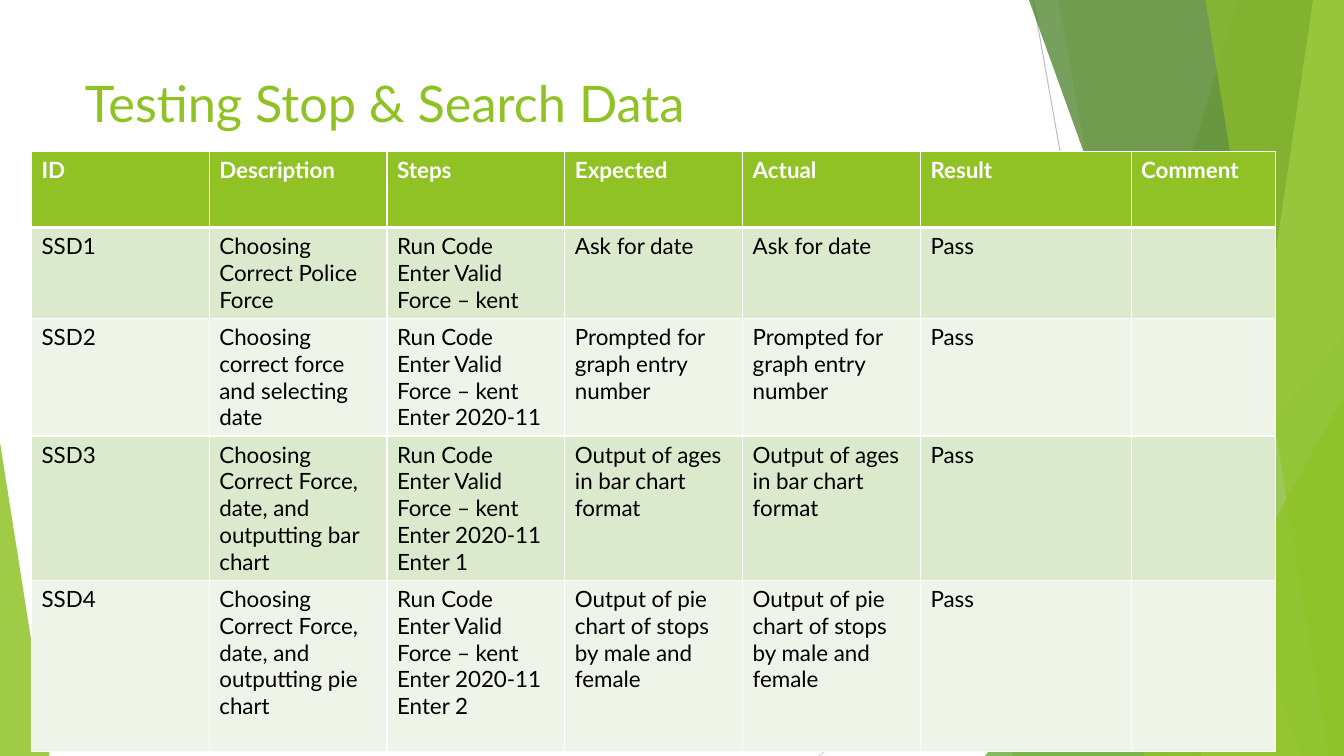
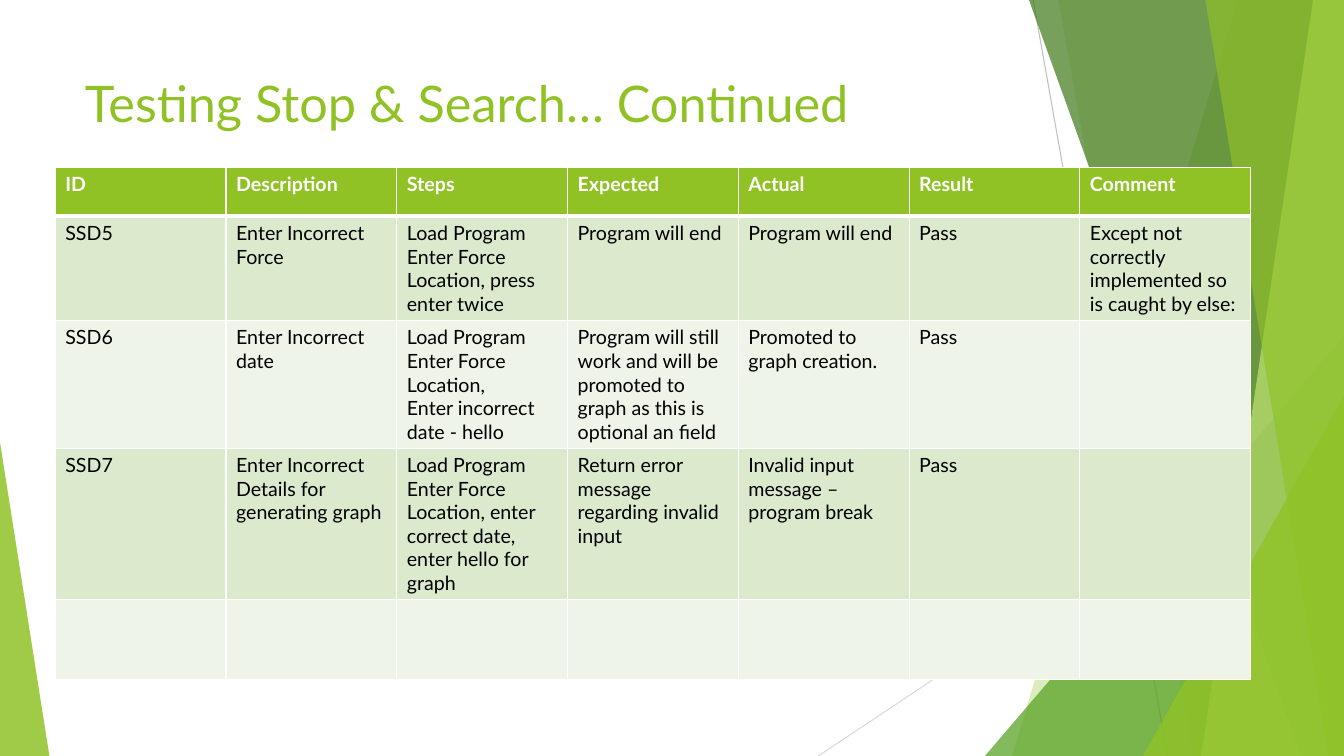
from lxml import etree
from pptx import Presentation
from pptx.dml.color import RGBColor
from pptx.enum.shapes import MSO_CONNECTOR, MSO_SHAPE
from pptx.oxml.ns import qn
from pptx.util import Pt

LINE = MSO_CONNECTOR.STRAIGHT
TRI = MSO_SHAPE.ISOSCELES_TRIANGLE

WIDE, HIGH = 960, 540
FONT = "Lato"
HEX = {
    "lime": "90C226",
    "green": "54A021",
    "dark": "3F7819",
    "pale": "C0E474",
    "odd": "DBE9CD",
    "even": "EEF4E8",
    "white": "FFFFFF",
    "black": "000000",
    "gray": "BFBFBF",
    "mist": "D9D9D9",
}

# Start x, start y, end x, end y, colour
RULES = [
    (738, 0, 834, HIGH, "gray"),
    (WIDE, 290, 584.5, HIGH, "mist"),
]
# Facets run to the right edge: top x, bottom x, colour, opacity
BACK = [(884, 723, "lime", 30), (756, 852, "lime", 20)]
FRONT = [
    (735, 929.5, "dark", 70),
    (938, 858, "pale", 70),
    (861, 949, "lime", 65),
]
# Wedges stand on the bottom edge: left, top, width, apex, colour, opacity
MID = (703.5, 240, 256.5, 1, "green", 72)
RIGHT = (816.5, 283, 143.5, 1, "lime", 80)
LEFT = (0, 316, 35.3, 0, "lime", 85)

HEAD = ["ID", "Description", "Steps", "Expected", "Actual", "Result", "Comment"]
KENT = "Run Code\nEnter Valid Force – kent"
DATED = KENT + "\nEnter 2020-11"
LOAD = "Load Program\nEnter Force Location,"
PROMPT = "Prompted for graph entry number"
AGES = "Output of ages in bar chart format"
STOPS = "Output of pie chart of stops by male and female"

VALID = [
    HEAD,
    ["SSD1", "Choosing Correct Police Force", KENT,
     "Ask for date", "Ask for date", "Pass", ""],
    ["SSD2", "Choosing correct force and selecting date", DATED,
     PROMPT, PROMPT, "Pass", ""],
    ["SSD3", "Choosing Correct Force, date, and outputting bar chart",
     DATED + "\nEnter 1", AGES, AGES, "Pass", ""],
    ["SSD4", "Choosing Correct Force, date, and outputting pie chart",
     DATED + "\nEnter 2", STOPS, STOPS, "Pass", ""],
]
WRONG = [
    HEAD,
    ["SSD5", "Enter Incorrect Force", LOAD + " press enter twice",
     "Program will end", "Program will end", "Pass",
     "Except not correctly implemented so is caught by else:"],
    ["SSD6", "Enter Incorrect date", LOAD + "\nEnter incorrect date - hello",
     "Program will still work and will be promoted to graph as this is "
     "optional an field",
     "Promoted to graph creation.", "Pass", ""],
    ["SSD7", "Enter Incorrect Details for generating graph",
     LOAD + " enter correct date, enter hello for graph",
     "Return error message regarding invalid input",
     "Invalid input message – program break", "Pass", ""],
    [""] * len(HEAD),
]


def rgb(name):
    return RGBColor.from_string(HEX[name])


def tint(shape, name, alpha):
    """Fill a shape with a see-through colour, without line or shadow."""
    shape.shadow.inherit = False
    shape.line.fill.background()
    shape.fill.solid()
    shape.fill.fore_color.rgb = rgb(name)
    color = shape.fill._xPr.find(".//" + qn("a:srgbClr"))
    etree.SubElement(color, qn("a:alpha"), val=str(alpha * 1000))


def rule(slide, x1, y1, x2, y2, name):
    line = slide.shapes.add_connector(LINE, Pt(x1), Pt(y1), Pt(x2), Pt(y2))
    line.line.color.rgb = rgb(name)
    line.line.width = Pt(0.75)
    etree.SubElement(line._element.spPr, qn("a:effectLst"))


def facet(slide, top, base, name, alpha):
    pen = slide.shapes.build_freeform(Pt(top), 0)
    pen.add_line_segments(
        [(Pt(WIDE), 0), (Pt(WIDE), Pt(HIGH)), (Pt(base), Pt(HIGH))])
    tint(pen.convert_to_shape(), name, alpha)


def wedge(slide, left, top, width, apex, name, alpha):
    shape = slide.shapes.add_shape(
        TRI, Pt(left), Pt(top), Pt(width), Pt(HIGH - top))
    shape.adjustments[0] = apex
    tint(shape, name, alpha)


def decor(slide):
    for item in RULES:
        rule(slide, *item)
    for item in BACK:
        facet(slide, *item)
    wedge(slide, *MID)
    for item in FRONT:
        facet(slide, *item)
    for item in (RIGHT, LEFT):
        wedge(slide, *item)


def style(para, size, name, bold=False):
    font = para.font
    font.name, font.size, font.bold = FONT, Pt(size), bold
    font.color.rgb = rgb(name)


def title(slide, text, left=53.5, top=48, width=677, height=104):
    frame = slide.shapes.add_textbox(
        Pt(left), Pt(top), Pt(width), Pt(height)).text_frame
    frame.word_wrap = True
    frame.text = text
    style(frame.paragraphs[0], 36, "lime")


def border(cell, row):
    """Draw white cell edges, thick between the header and the body."""
    edges = {"L": 1, "R": 1, "T": 3 if row == 1 else 1, "B": 1 if row else 3}
    props = cell._tc.get_or_add_tcPr()
    for side, width in edges.items():
        line = etree.SubElement(props, qn("a:ln" + side), w=str(Pt(width)))
        fill = etree.SubElement(line, qn("a:solidFill"))
        etree.SubElement(fill, qn("a:srgbClr"), val=HEX["white"])


def grid(slide, left, top, cols, rows, size, data):
    table = slide.shapes.add_table(
        len(rows), len(cols), Pt(left), Pt(top),
        Pt(sum(cols)), Pt(sum(rows))).table
    for col, width in zip(table.columns, cols):
        col.width = Pt(width)
    for r, (texts, height) in enumerate(zip(data, rows)):
        table.rows[r].height = Pt(height)
        back = ("odd" if r % 2 else "even") if r else "lime"
        ink = "black" if r else "white"
        for c, text in enumerate(texts):
            cell = table.cell(r, c)
            border(cell, r)
            cell.fill.solid()
            cell.fill.fore_color.rgb = rgb(back)
            cell.text = text
            for para in cell.text_frame.paragraphs:
                style(para, size, ink, r == 0)


def page(deck, head, *spec_grid):
    slide = deck.slides.add_slide(deck.slide_layouts[6])
    decor(slide)
    title(slide, head)
    grid(slide, *spec_grid)


def main():
    deck = Presentation()
    deck.slide_width, deck.slide_height = Pt(WIDE), Pt(HIGH)
    page(deck, "Testing Stop & Search Data", 22.5, 108,
         [127] * 5 + [150.5, 103], [54.5, 65, 83.5, 103, 122], 16, VALID)
    page(deck, "Testing Stop & Search… Continued", 39.5, 119.5,
         [122] * 7, [35, 74.5, 91, 108, 57], 14, WRONG)
    deck.save("out.pptx")


if __name__ == "__main__":
    main()
